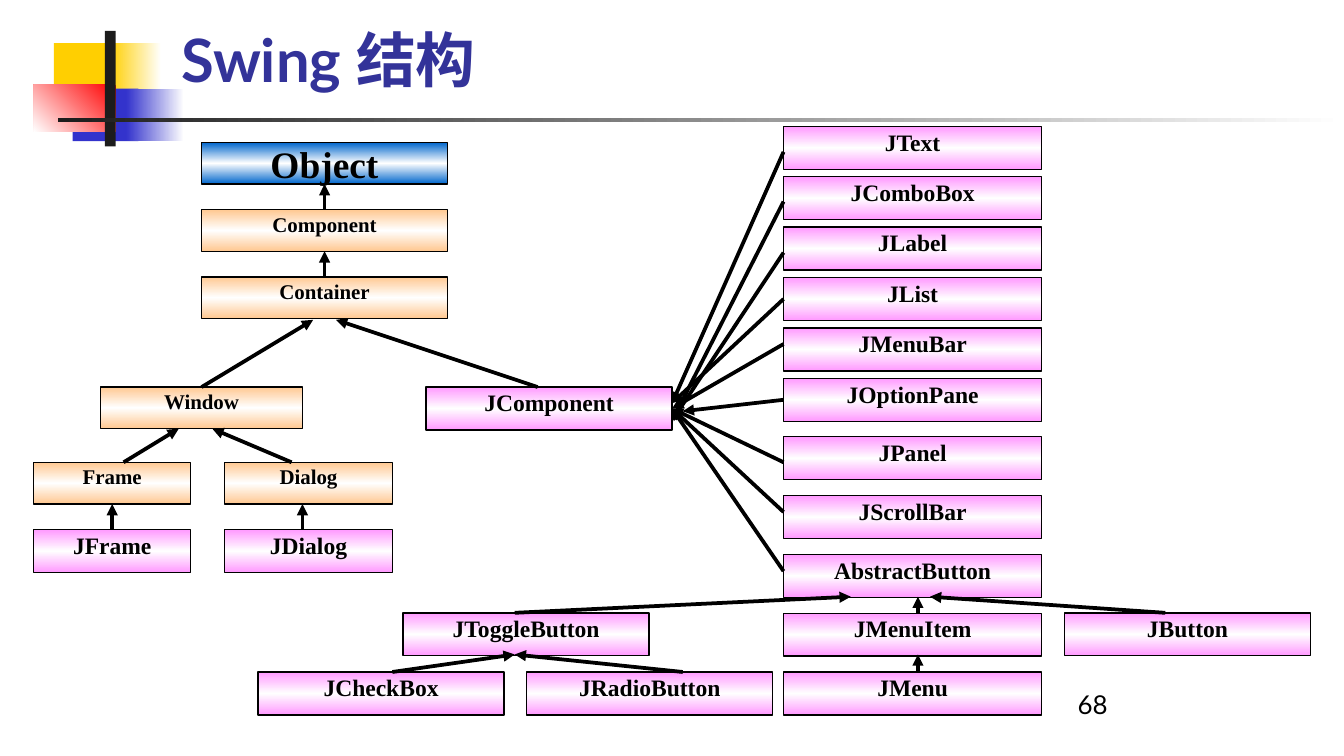
"""Build the Swing class hierarchy slide."""
from typing import NamedTuple

from lxml import etree
from pptx import Presentation
from pptx.dml.color import RGBColor
from pptx.enum.shapes import MSO_CONNECTOR, MSO_SHAPE
from pptx.enum.text import MSO_ANCHOR, PP_ALIGN
from pptx.oxml import parse_xml
from pptx.oxml.ns import nsdecls, qn
from pptx.util import Inches, Pt

RECTANGLE = MSO_SHAPE.RECTANGLE
STRAIGHT = MSO_CONNECTOR.STRAIGHT
TOP, MIDDLE, BOTTOM = MSO_ANCHOR.TOP, MSO_ANCHOR.MIDDLE, MSO_ANCHOR.BOTTOM
CENTER = PP_ALIGN.CENTER
SERIF, SANS = "Times New Roman", "Lato"
BLACK, WHITE = "000000", "FFFFFF"
PAGE_WIDTH = 10
PAGE_HEIGHT = PAGE_WIDTH * 9 / 16
SNAP = 0.025


class Bar(NamedTuple):
    """A decorative rectangle, solid with one colour or fading between two."""
    left: float
    top: float
    width: float
    height: float
    colours: tuple
    angle: int = 180


class Family(NamedTuple):
    """The look shared by class boxes of one kind."""
    colour: str
    height: float
    size: float
    spacing: float = 0.8
    anchor: MSO_ANCHOR = TOP
    wrap: bool = True


class ClassBox(NamedTuple):
    """A class name with its place in the hierarchy."""
    name: str
    left: float
    top: float
    width: float
    family: Family


class Arrow(NamedTuple):
    """An inheritance arrow from a subclass to its superclass."""
    start: tuple
    end: tuple


ROOT = Family("0066CC", 0.31, 20, 1, MIDDLE, False)
AWT = Family("FFC891", 0.31, 11.2)
SWING = Family("FF99FF", 0.32, 12.6)

BARS = [
    Bar(0.4, 0.32, 0.51, 0.39, ("FFCF01",)),
    Bar(0.82, 0.32, 0.38, 0.39, (WHITE, "FFCF01")),
    Bar(0.54, 0.66, 0.49, 0.39, ("3333CC",)),
    Bar(0.94, 0.66, 0.43, 0.39, (WHITE, "3333CC")),
    Bar(0.25, 0.63, 0.61, 0.35, ("FF0000", WHITE), 135),
    Bar(0.78, 0.23, 0.08, 0.86, ("1C1C1C",)),
    Bar(0.43, 0.88, 9.57, 0.03, (WHITE, "1C1C1C")),
]

COLUMN_LEFT, COLUMN_WIDTH = 5.83, 1.92
UPPER_NAMES = ["JText", "JComboBox", "JLabel", "JList", "JMenuBar", "JOptionPane"]
LOWER_NAMES = ["JPanel", "JScrollBar", "AbstractButton", "JMenuItem", "JMenu"]
COLUMN = [(name, 0.94 + row * 3 / 8) for row, name in enumerate(UPPER_NAMES)]
COLUMN += [(name, 3.25 + row * 7 / 16) for row, name in enumerate(LOWER_NAMES)]

CLASS_BOXES = [
    ClassBox("Object", 1.5, 1.06, 1.83, ROOT),
    ClassBox("Component", 1.5, 1.56, 1.83, AWT),
    ClassBox("Container", 1.5, 2.06, 1.83, AWT),
    ClassBox("Window", 0.75, 2.88, 1.5, AWT),
    ClassBox("Frame", 0.25, 3.44, 1.17, AWT),
    ClassBox("Dialog", 1.67, 3.44, 1.25, AWT),
    ClassBox("JFrame", 0.25, 3.94, 1.17, SWING),
    ClassBox("JDialog", 1.67, 3.94, 1.25, SWING),
    ClassBox("JComponent", 3.17, 2.88, 1.83, SWING),
    *(ClassBox(name, COLUMN_LEFT, top, COLUMN_WIDTH, SWING) for name, top in COLUMN),
    ClassBox("JToggleButton", 3, 4.56, 1.83, SWING),
    ClassBox("JButton", 7.92, 4.56, 1.83, SWING),
    ClassBox("JCheckBox", 1.92, 5, 1.83, SWING),
    ClassBox("JRadioButton", 3.92, 5, 1.83, SWING),
]

COMPONENT_ENDS = [
    (1.13, (5, 3)), (1.5, (5, 3.13)), (1.88, (5, 3.13)),
    (2.25, (5, 3)), (2.56, (5, 3.06)), (3, (5.08, 3.06)),
    (3.44, (5, 3.06)), (3.81, (5, 3.06)), (4.25, (5, 3.06)),
]
ARROWS = [
    Arrow((2.42, 1.56), (2.42, 1.38)),
    Arrow((2.42, 2.06), (2.42, 1.88)),
    Arrow((1.5, 2.88), (2.33, 2.38)),
    Arrow((4, 2.88), (2.5, 2.38)),
    Arrow((0.92, 3.44), (1.33, 3.19)),
    Arrow((2.17, 3.44), (1.58, 3.19)),
    Arrow((0.83, 3.94), (0.83, 3.75)),
    Arrow((2.25, 3.94), (2.25, 3.75)),
    *(Arrow((COLUMN_LEFT, y), end) for y, end in COMPONENT_ENDS),
    Arrow((3.83, 4.56), (6.33, 4.44)),
    Arrow((6.83, 4.56), (6.83, 4.44)),
    Arrow((6.83, 5), (6.83, 4.87)),
    Arrow((8.67, 4.56), (6.92, 4.44)),
    Arrow((2.92, 5), (3.83, 4.87)),
    Arrow((5.08, 5), (3.83, 4.87)),
]


def rgb(colour: str) -> RGBColor:
    """Turn a hex string into a colour."""
    return RGBColor.from_string(colour)


def paint(shape, colours: tuple, angle: int) -> None:
    """Fill a shape with one colour or with evenly spaced gradient stops."""
    if len(colours) == 1:
        shape.fill.solid()
        shape.fill.fore_color.rgb = rgb(colours[0])
        return
    step = 100000 // (len(colours) - 1)
    stops = "".join(
        f'<a:gs pos="{index * step}"><a:srgbClr val="{colour}"/></a:gs>'
        for index, colour in enumerate(colours))
    gradient = parse_xml(
        f'<a:gradFill {nsdecls("a")} rotWithShape="1"><a:gsLst>{stops}</a:gsLst>'
        f'<a:lin ang="{angle * 60000}" scaled="0"/></a:gradFill>')
    shape._element.spPr.find(qn("a:prstGeom")).addnext(gradient)


def add_bar(page, bar: Bar):
    """Draw a rectangle without an outline."""
    shape = page.shapes.add_shape(RECTANGLE, *map(Inches, bar[:4]))
    shape.shadow.inherit = False
    paint(shape, bar.colours, bar.angle)
    shape.line.fill.background()
    return shape


def write(shape, text: str, size: float, font: str, colour: str, bold: bool = False,
          anchor: MSO_ANCHOR = TOP, spacing: float = 1, wrap: bool = True):
    """Write one paragraph in a shape and return it."""
    frame = shape.text_frame
    frame.word_wrap = wrap
    frame.vertical_anchor = anchor
    paragraph = frame.paragraphs[0]
    paragraph.text = text
    paragraph.line_spacing = spacing
    paragraph.font.size = Pt(size)
    paragraph.font.name = font
    paragraph.font.bold = bold
    paragraph.font.color.rgb = rgb(colour)
    return paragraph


def add_class_box(page, box: ClassBox):
    """Draw a class as an outlined rectangle with a banded gradient."""
    family = box.family
    shape = add_bar(page, Bar(box.left, box.top, box.width, family.height,
                              (family.colour, WHITE, family.colour), 90))
    shape.line.color.rgb = rgb(BLACK)
    shape.line.width = Pt(0.75)
    paragraph = write(shape, box.name, family.size, SERIF, BLACK, True,
                      family.anchor, family.spacing, family.wrap)
    paragraph.alignment = CENTER
    return shape


def find_site(point: tuple, shapes: list):
    """Return the shape and side whose middle lies at a point, if any."""
    for shape in shapes:
        left, top, width, height = (
            length.inches for length in (shape.left, shape.top, shape.width, shape.height))
        sites = [(left + width / 2, top), (left, top + height / 2),
                 (left + width / 2, top + height), (left + width, top + height / 2)]
        for side, site in enumerate(sites):
            if max(abs(site[0] - point[0]), abs(site[1] - point[1])) < SNAP:
                return shape, side
    return None


def add_arrow(page, arrow: Arrow, shapes: list) -> None:
    """Draw an arrow, joined to the boxes whose side middles it meets."""
    connector = page.shapes.add_connector(
        STRAIGHT, *map(Inches, arrow.start + arrow.end))
    for point, join in ((arrow.start, connector.begin_connect),
                        (arrow.end, connector.end_connect)):
        site = find_site(point, shapes)
        if site:
            join(*site)
    connector.line.color.rgb = rgb(BLACK)
    connector.line.width = Pt(2)
    etree.SubElement(connector.line._get_or_add_ln(), qn("a:tailEnd"), type="triangle")
    etree.SubElement(connector._element.spPr, qn("a:effectLst"))


def main() -> None:
    """Build and save the deck."""
    deck = Presentation()
    deck.slide_width, deck.slide_height = Inches(PAGE_WIDTH), Inches(PAGE_HEIGHT)
    page = deck.slides.add_slide(deck.slide_layouts[6])
    for bar in BARS:
        add_bar(page, bar)
    title = page.shapes.add_textbox(*map(Inches, (1.25, 0.19, 6.74, 0.56)))
    write(title, "Swing 结构", 32, SANS, "333399", True, BOTTOM)
    number = page.shapes.add_textbox(*map(Inches, (7.92, 5.12, 2.08, 0.37)))
    write(number, "68", 13.9, SANS, BLACK, spacing=0.8)
    shapes = [add_class_box(page, box) for box in CLASS_BOXES]
    for arrow in ARROWS:
        add_arrow(page, arrow, shapes)
    deck.save("out.pptx")


if __name__ == "__main__":
    main()
